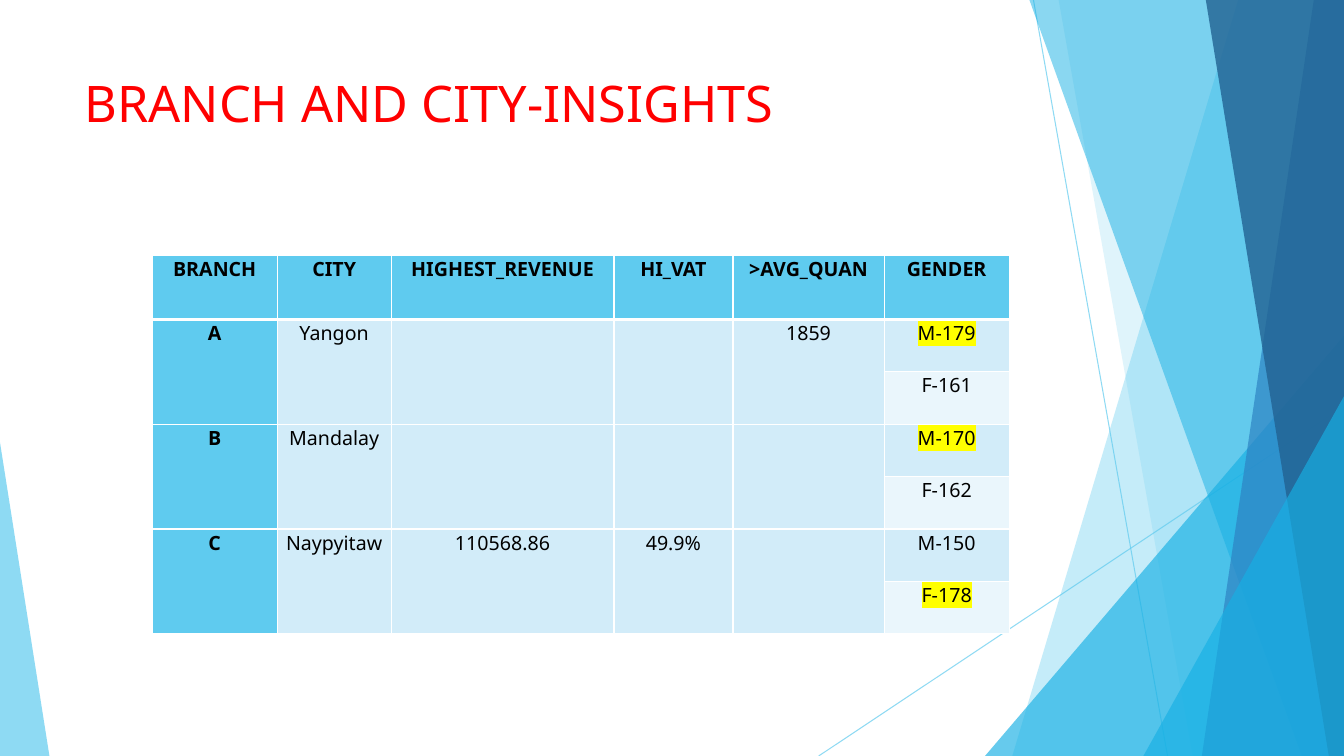
from pptx import Presentation
from pptx.dml.color import RGBColor
from pptx.enum.shapes import MSO_CONNECTOR, MSO_SHAPE
from pptx.enum.text import PP_ALIGN
from pptx.oxml.ns import qn
from pptx.util import Inches, Pt
from lxml import etree

STRAIGHT = MSO_CONNECTOR.STRAIGHT
TRIANGLE = MSO_SHAPE.ISOSCELES_TRIANGLE
CENTER = PP_ALIGN.CENTER
SKY = RGBColor(0x5F, 0xCB, 0xEF)
CYAN = RGBColor(0x17, 0xB0, 0xE4)
BLUE = RGBColor(0x2E, 0x83, 0xC3)
NAVY = RGBColor(0x22, 0x62, 0x92)
PALE = RGBColor(0xD2, 0xEC, 0xF9)
PALER = RGBColor(0xEA, 0xF6, 0xFC)
RED = RGBColor(0xFF, 0, 0)
BLACK = RGBColor(0, 0, 0)
WHITE = RGBColor(0xFF, 0xFF, 0xFF)
YELLOW = RGBColor(0xFF, 0xFF, 0)
FONT = "Noto Sans"


def paint(fill, color, alpha):
    fill.solid()
    fill.fore_color.rgb = color
    clr = fill._xPr.find(qn("a:solidFill"))[0]
    etree.SubElement(clr, qn("a:alpha"), val=str(alpha * 1000))


def add_run(p, text, **format_values):
    r = p.add_run()
    r.text = text
    r.font.color.rgb = format_values.pop("color")
    for name, value in format_values.items():
        setattr(r.font, name, value)
    return r


prs = Presentation()
prs.slide_width = Inches(13.33)
prs.slide_height = Inches(7.5)
slide = prs.slides.add_slide(prs.slide_layouts[6])
shapes = slide.shapes

for ends in [(10.25, 0, 11.58, 7.5), (13.33, 4.03, 8.12, 7.5)]:
    s = shapes.add_connector(STRAIGHT, *[Inches(v) for v in ends])
    s.line.width = Pt(0.75)
    paint(s.line.fill, SKY, 70)
    etree.SubElement(s._element.spPr, qn("a:effectLst"))

facets = [
    ("band", (12.28, 10.04), SKY, 36),
    ("band", (10.5, 11.83), SKY, 20),
    ("triangle", (9.77, 3.33, 3.56, 4.17, 1), CYAN, 66),
    ("band", (10.21, 12.91), CYAN, 50),
    ("band", (13.03, 11.92), BLUE, 70),
    ("band", (11.96, 13.18), NAVY, 80),
    ("triangle", (11.34, 3.93, 1.99, 3.57, 1), CYAN, 66),
    ("triangle", (0, 4.39, 0.49, 3.11, 0), SKY, 70),
]
for kind, geometry, color, alpha in facets:
    if kind == "band":
        top, bottom = geometry
        outline = [(13.33, 0), (13.33, 7.5), (bottom, 7.5)]
        builder = shapes.build_freeform(Inches(top), 0)
        builder.add_line_segments([(Inches(x), Inches(y)) for x, y in outline])
        s = builder.convert_to_shape()
    else:
        *box, apex = geometry
        s = shapes.add_shape(TRIANGLE, *[Inches(v) for v in box])
        s.adjustments[0] = apex
    s.shadow.inherit = False
    s.line.fill.background()
    paint(s.fill, color, alpha)

s = shapes.add_textbox(Inches(0.74), Inches(0.67), Inches(9.4), Inches(0.95))
tf = s.text_frame
tf.word_wrap = True
add_run(tf.paragraphs[0], "BRANCH AND CITY-INSIGHTS", size=Pt(36), name=FONT, color=RED)

rows = [
    ["BRANCH", "CITY", "HIGHEST_REVENUE", "HI_VAT", ">AVG_QUAN", "GENDER"],
    ["A", "Yangon", "", "", "1859", "M-179"],
    ["", "", "", "", "", "F-161"],
    ["B", "Mandalay", "", "", "", "M-170"],
    ["", "", "", "", "", "F-162"],
    ["C", "Naypyitaw", "110568.86", "49.9%", "", "M-150"],
    ["", "", "", "", "", "F-178"],
]
highlighted = {"M-179", "M-170", "F-178"}
widths = [1.24, 1.13, 2.21, 1.18, 1.5, 1.24]
heights = [0.64] + [0.52] * 6

table = shapes.add_table(7, 6, Inches(1.51), Inches(2.53), Inches(8.5), Inches(3.76)).table
for column, width in zip(table.columns, widths):
    column.width = Inches(width)
for row, height in zip(table.rows, heights):
    row.height = Inches(height)

for i, texts in enumerate(rows):
    for j, text in enumerate(texts):
        cell = table.cell(i, j)
        cell.margin_left = cell.margin_right = Inches(0.07)
        cell.margin_top = cell.margin_bottom = 0
        tcPr = cell._tc.get_or_add_tcPr()
        for side in "LRTB":
            heavy = (i, side) in [(0, "B"), (1, "T")]
            ln = etree.SubElement(tcPr, qn(f"a:ln{side}"), w=str(Pt(3 if heavy else 1)))
            fill = etree.SubElement(ln, qn("a:solidFill"))
            etree.SubElement(fill, qn("a:srgbClr"), val=str(WHITE))
        strong = i == 0 or j == 0
        cell.fill.solid()
        cell.fill.fore_color.rgb = SKY if strong else PALER if j == 5 and i % 2 == 0 else PALE
        if text:
            p = cell.text_frame.paragraphs[0]
            p.alignment = CENTER
            r = add_run(p, text, size=Pt(14), name=FONT, bold=strong, color=BLACK)
            if text in highlighted:
                highlight = etree.Element(qn("a:highlight"))
                etree.SubElement(highlight, qn("a:srgbClr"), val=str(YELLOW))
                r.font._element.find(qn("a:solidFill")).addnext(highlight)

for i in range(1, 7, 2):
    for j in range(5):
        table.cell(i, j).merge(table.cell(i + 1, j))

prs.save("out.pptx")
